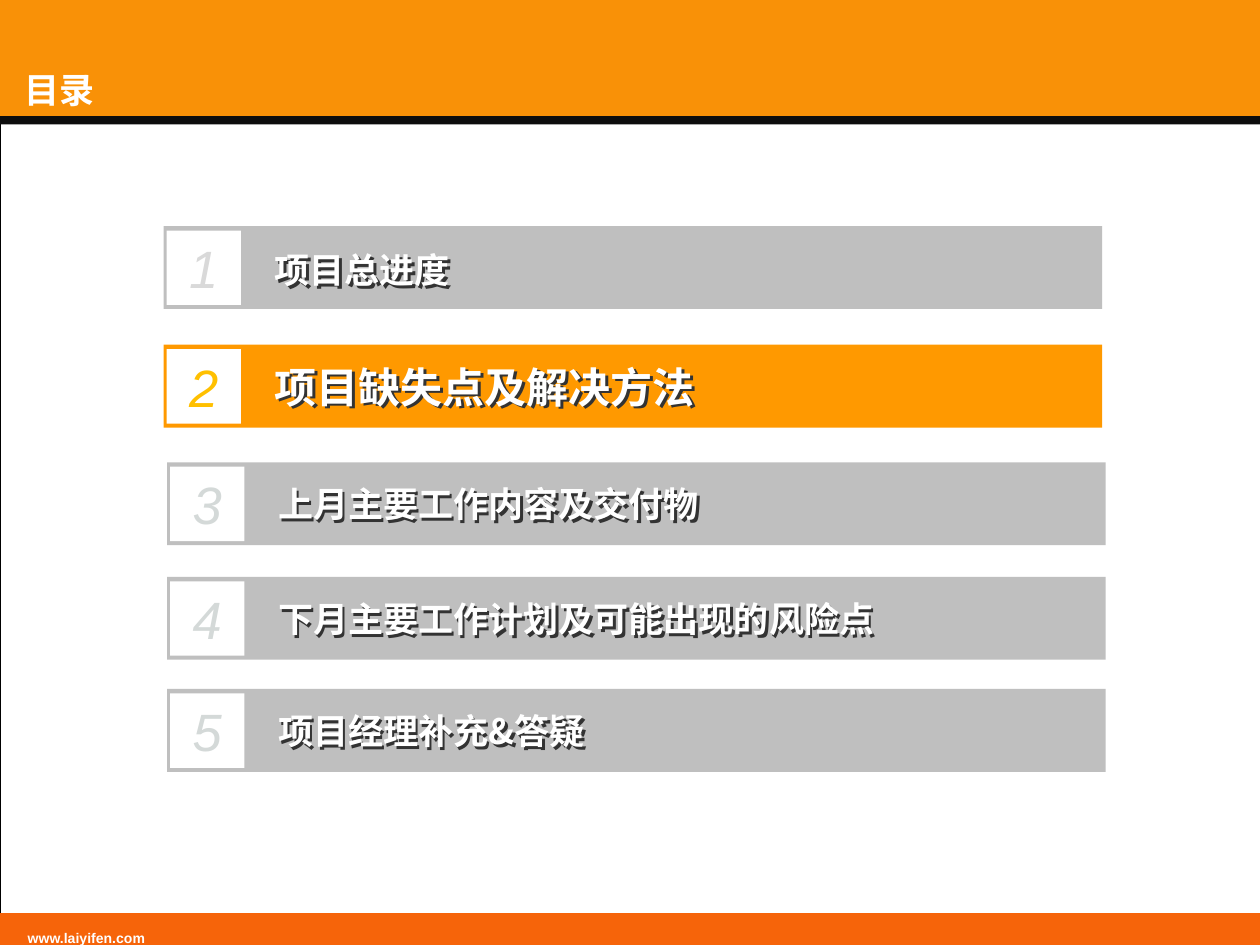
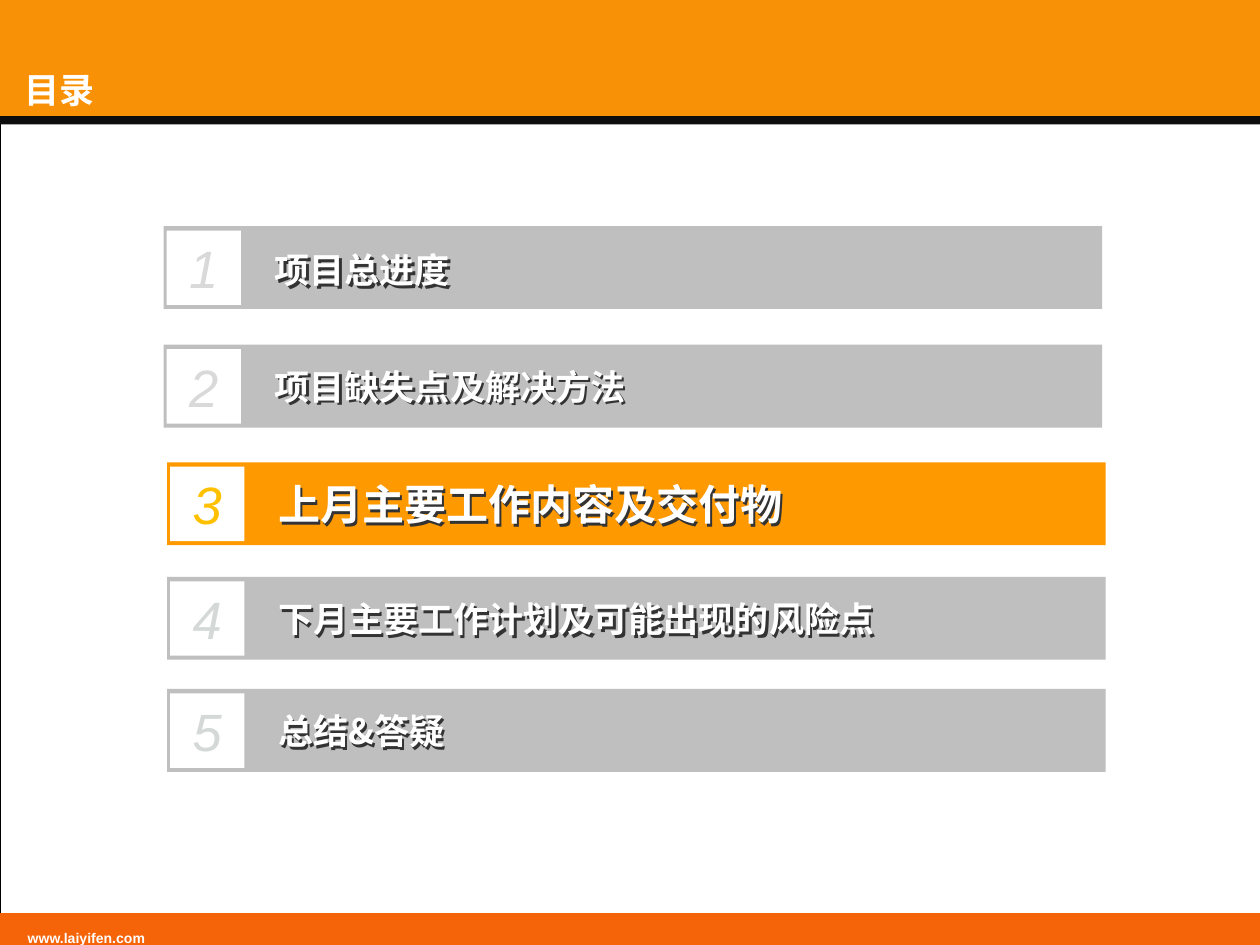
from lxml import etree
from pptx import Presentation
from pptx.dml.color import RGBColor
from pptx.enum.shapes import MSO_SHAPE
from pptx.enum.text import MSO_ANCHOR, MSO_AUTO_SIZE, PP_ALIGN
from pptx.oxml import parse_xml
from pptx.oxml.ns import nsdecls, qn
from pptx.util import Cm, Pt

RECT = MSO_SHAPE.RECTANGLE
TOP, MIDDLE, BOTTOM = MSO_ANCHOR.TOP, MSO_ANCHOR.MIDDLE, MSO_ANCHOR.BOTTOM
LEFT, CENTER = PP_ALIGN.LEFT, PP_ALIGN.CENTER
NO_FIT = MSO_AUTO_SIZE.NONE

WHITE = RGBColor(0xFF, 0xFF, 0xFF)
BLACK = RGBColor(0x00, 0x00, 0x00)
BAND = RGBColor(0xF9, 0x91, 0x07)
RULE = RGBColor(0x0D, 0x0D, 0x0D)
FOOT = RGBColor(0xF6, 0x64, 0x0A)
GRAY = RGBColor(0xBF, 0xBF, 0xBF)
ORANGE = RGBColor(0xFF, 0x99, 0x00)
GOLD = RGBColor(0xFF, 0xC0, 0x00)
PALE = RGBColor(0xD9, 0xD9, 0xD9)
MIST = RGBColor(0xD4, 0xD9, 0xD8)
SHADE = RGBColor(0x33, 0x33, 0x33)

LATIN = "Arial"
HAN = "Noto Sans CJK SC"
WIDE, HIGH = 25.4, 19.05

ROWS = [
    (3.3, 4.56, 0.38, PALE),
    (3.3, 6.95, 0.34, PALE),
    (3.37, 9.32, 0.34, MIST),
    (3.37, 11.63, 0.34, MIST),
    (3.37, 13.89, 0.34, MIST),
]
TOPICS = [
    "项目总进度",
    "项目缺失点及解决方法",
    "上月主要工作内容及交付物",
    "下月主要工作计划及可能出现的风险点",
]
DECKS = [
    (TOPICS + ["项目经理补充&答疑"], 2),
    (TOPICS + ["总结&答疑"], 3),
]
SHADOW = (
    f'<a:effectLst {nsdecls("a")}><a:outerShdw dist="25400" dir="2700000" '
    f'algn="tl" rotWithShape="0"><a:srgbClr val="{SHADE}"/></a:outerShdw>'
    '</a:effectLst>'
)


def write(shape, text, size=20, face=HAN, color=WHITE, bold=False, italic=False,
          align=LEFT, anchor=MIDDLE, pad=(0.1, 0.05, 0.1, 0.05), space=None):
    frame = shape.text_frame
    frame.word_wrap = True
    frame.auto_size = NO_FIT
    frame.vertical_anchor = anchor
    (frame.margin_left, frame.margin_top,
     frame.margin_right, frame.margin_bottom) = map(Cm, pad)
    para = frame.paragraphs[0]
    para.alignment = align
    if space:
        para.line_spacing = space
    run = para.add_run()
    run.text = text
    font = run.font
    font.size, font.name = Pt(size), face
    font.bold, font.italic = bold, italic
    font.color.rgb = color
    east = etree.Element(qn("a:ea"), typeface=face)
    run._r.get_or_add_rPr().find(qn("a:latin")).addnext(east)


def block(slide, x, y, w, h, fill=None):
    shape = slide.shapes.add_shape(RECT, Cm(x), Cm(y), Cm(w), Cm(h))
    shape.shadow.inherit = False
    if fill is None:
        shape.fill.background()
    else:
        shape.fill.solid()
        shape.fill.fore_color.rgb = fill
        shape.line.fill.background()
    return shape


def label(slide, x, y, w, h, text, **style):
    box = slide.shapes.add_textbox(Cm(x), Cm(y), Cm(w), Cm(h))
    write(box, text, **style)
    return box


def set_frame(slide):
    page = block(slide, 0, 0, WIDE, HIGH)
    page.line.color.rgb = BLACK
    page.line.width = Pt(0.2)
    block(slide, 0, 0, WIDE, 2.38, BAND)
    block(slide, 0, 2.34, WIDE, 0.17, RULE)
    block(slide, 0, 18.41, WIDE, 0.76, FOOT)
    label(slide, 0, 18.54, 16.7, 0.7, "www.laiyifen.com", size=8, face=LATIN,
          bold=True, anchor=TOP, pad=(0.56, 0.13, 0.25, 0.13), space=1.2)


def build_layout(deck, layout):
    slide = deck.slides.add_slide(layout)
    title = slide.shapes.title
    set_frame(slide)
    parts = [shape for shape in slide.shapes if not shape.is_placeholder]
    for at, shape in enumerate(parts):
        item = shape._element
        item.nvSpPr.cNvPr.set("id", str(20 + at))
        layout.shapes._spTree.insert(2 + at, item)
    head = next(p for p in layout.placeholders
                if p.placeholder_format.idx == title.placeholder_format.idx)
    head.left, head.top, head.width, head.height = map(Cm, (0, 0.87, 20.65, 1.45))
    return slide


def add_row(slide, x, y, drop, number, topic, pale, active):
    block(slide, x, y, 18.92, 1.67, ORANGE if active else GRAY)
    text = label(slide, x + 2.14, y + drop, 16.76, 1, topic, bold=True,
                 size=24 if active else 20)
    text._element.spPr.append(parse_xml(SHADOW))
    tile = block(slide, x + 0.06, y + 0.09, 1.5, 1.5, WHITE)
    write(tile, str(number), size=30, face=LATIN, italic=True, align=CENTER,
          color=GOLD if active else pale)


def fill_agenda(slide, topics, active):
    write(slide.shapes.title, "目录", bold=True, anchor=BOTTOM,
          pad=(0.5, 0.5, 0.1, 0.1))
    for number, ((x, y, drop, pale), topic) in enumerate(zip(ROWS, topics), 1):
        add_row(slide, x, y, drop, number, topic, pale, number == active)


def main():
    deck = Presentation()
    deck.slide_width, deck.slide_height = Cm(WIDE), Cm(HIGH)
    layout = deck.slide_layouts[5]
    first = build_layout(deck, layout)
    slides = [first] + [deck.slides.add_slide(layout) for _ in DECKS[1:]]
    for slide, (topics, active) in zip(slides, DECKS):
        fill_agenda(slide, topics, active)
    deck.save("out.pptx")


if __name__ == "__main__":
    main()
